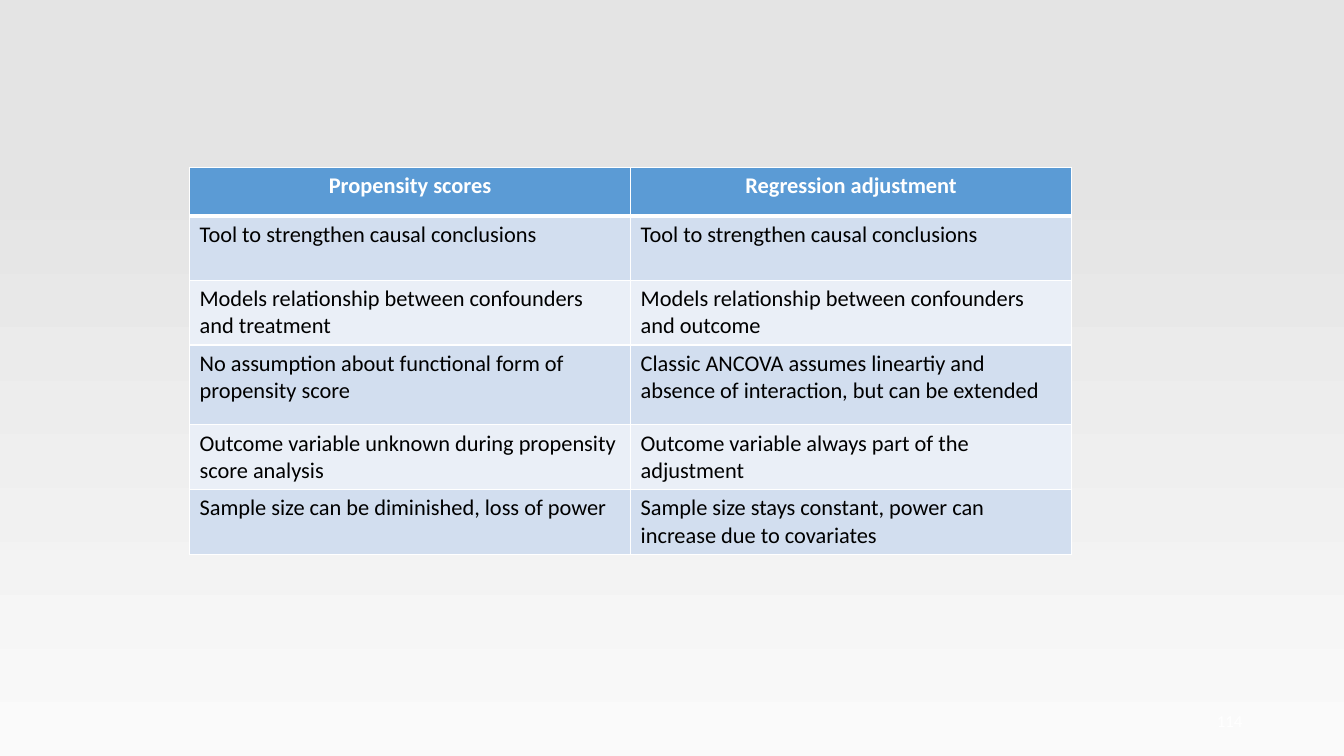
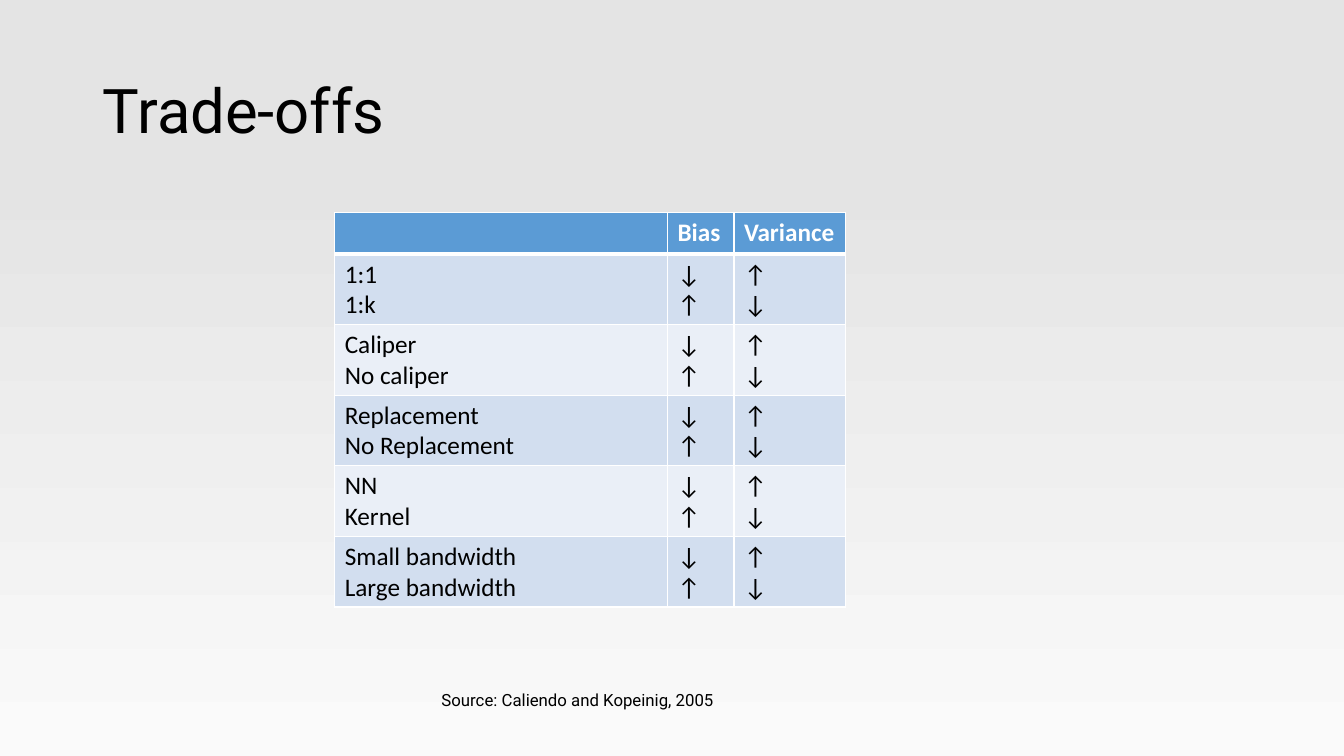
"""Builds two slides comparing propensity score choices in tables."""
from lxml import etree
from pptx import Presentation
from pptx import util as u
from pptx.dml.color import RGBColor
from pptx.enum import text
from pptx.oxml.ns import qn

WHITE, BLACK = "FFFFFF", "000000"
HEADER, BANDS = "5B9BD5", ("D2DEEF", "EAEFF7")
BACKGROUND = ((0, "FAFAFA"), (0.78, "E4E4E4"))
FIRST_NUMBER = 114

METHODS = [
    ("Propensity scores", "Regression adjustment"),
    ("Tool to strengthen causal conclusions", "Tool to strengthen causal conclusions"),
    ("Models relationship between confounders and treatment",
     "Models relationship between confounders and outcome"),
    ("No assumption about functional form of propensity score",
     "Classic ANCOVA assumes lineartiy and absence of interaction, but can be extended"),
    ("Outcome variable unknown during propensity score analysis",
     "Outcome variable always part of the adjustment"),
    ("Sample size can be diminished, loss of power",
     "Sample size stays constant, power can increase due to covariates"),
]
CHOICES = [("1:1", "1:k"), ("Caliper", "No caliper"), ("Replacement", "No Replacement"),
           ("NN", "Kernel"), ("Small bandwidth", "Large bandwidth")]
TRADE_OFFS = [("", "Bias", "Variance")] + [
    ("\n".join(pair), "↓\n↑", "↑\n↓") for pair in CHOICES]


def rgb(color):
    return RGBColor.from_string(color)


def style(paragraph, font, size, color, bold=False, align=text.PP_ALIGN.LEFT):
    paragraph.alignment = align
    paragraph.font.name = font
    paragraph.font.size = u.Pt(size)
    paragraph.font.bold = bold
    paragraph.font.color.rgb = rgb(color)


def place(shape, left, top, width, height):
    shape.left, shape.top = u.Inches(left), u.Inches(top)
    shape.width, shape.height = u.Inches(width), u.Inches(height)


def add_borders(cell, top, bottom):
    properties = cell._tc.get_or_add_tcPr()
    edges = (("a:lnL", 1), ("a:lnR", 1), ("a:lnT", top), ("a:lnB", bottom))
    for position, (edge, width) in enumerate(edges):
        line = etree.Element(qn(edge), w=str(u.Pt(width)))
        fill = etree.SubElement(line, qn("a:solidFill"))
        etree.SubElement(fill, qn("a:srgbClr"), val=WHITE)
        properties.insert(position, line)


def add_grid(slide, rows, left, top, widths, heights, size, header_align):
    table = slide.shapes.add_table(
        len(rows), len(widths), u.Inches(left), u.Inches(top),
        u.Inches(sum(widths)), u.Inches(sum(heights))).table
    for column, width in zip(table.columns, widths):
        column.width = u.Inches(width)
    for r, (row, height) in enumerate(zip(rows, heights)):
        table.rows[r].height = u.Inches(height)
        is_header = r == 0
        for c, wording in enumerate(row):
            cell = table.cell(r, c)
            cell.text = wording
            cell.fill.solid()
            cell.fill.fore_color.rgb = rgb(HEADER if is_header else BANDS[(r - 1) % 2])
            add_borders(cell, 3 if r == 1 else 1, 3 if is_header else 1)
            for paragraph in cell.text_frame.paragraphs:
                style(paragraph, "Calibri", size, WHITE if is_header else BLACK,
                      is_header, header_align if is_header else text.PP_ALIGN.LEFT)


def add_text_box(slide, *box):
    frame = slide.shapes.add_textbox(*map(u.Inches, box)).text_frame
    frame.word_wrap = True
    return frame


def add_slide_number(slide):
    frame = add_text_box(slide, 9.42, 6.95, 3, 0.4)
    frame.vertical_anchor = text.MSO_ANCHOR.MIDDLE
    number = frame.paragraphs[0]
    style(number, "Calibri", 12, WHITE, align=text.PP_ALIGN.RIGHT)
    field = etree.SubElement(number._p, qn("a:fld"), type="slidenum",
                             id="{B6F15528-21DE-4FAA-801E-634DDDAF4B2B}")
    run = etree.SubElement(field, qn("a:rPr"), lang="en-US", sz="1200")
    fill = etree.SubElement(run, qn("a:solidFill"))
    etree.SubElement(fill, qn("a:srgbClr"), val=WHITE)
    etree.SubElement(run, qn("a:latin"), typeface="Calibri")
    etree.SubElement(field, qn("a:t")).text = str(FIRST_NUMBER)


def set_background(master):
    fill = master.background.fill
    fill.gradient()
    fill.gradient_angle = 90
    for stop, (position, color) in zip(fill.gradient_stops, BACKGROUND):
        stop.position = position
        stop.color.rgb = rgb(color)


def main():
    deck = Presentation()
    deck.slide_width, deck.slide_height = u.Inches(13.33), u.Inches(7.5)
    deck.element.set("firstSlideNum", str(FIRST_NUMBER))
    set_background(deck.slide_master)

    methods = deck.slides.add_slide(deck.slide_layouts[6])
    add_grid(methods, METHODS, 1.88, 1.66, (4.375, 4.375),
             (0.48, 0.64, 0.64, 0.79, 0.64, 0.64), 16, text.PP_ALIGN.CENTER)
    add_slide_number(methods)

    trade_offs = deck.slides.add_slide(deck.slide_layouts[5])
    title = trade_offs.shapes.title
    place(title, 0.92, 0.4, 11.5, 1.45)
    title.text_frame.text = "Trade-offs"
    title.text_frame.vertical_anchor = text.MSO_ANCHOR.MIDDLE
    heading = title.text_frame.paragraphs[0]
    heading.line_spacing = 0.9
    style(heading, "Roboto", 44, BLACK)
    source = add_text_box(trade_offs, 4.28, 6.79, 7.11, 0.3)
    source.text = "Source: Caliendo and Kopeinig, 2005"
    style(source.paragraphs[0], "Roboto", 12, BLACK)
    add_grid(trade_offs, TRADE_OFFS, 3.32, 2.11, (3.3, 0.66, 1.11),
             (0.41,) + (0.7,) * len(CHOICES), 18, text.PP_ALIGN.LEFT)

    deck.save("out.pptx")


if __name__ == "__main__":
    main()
